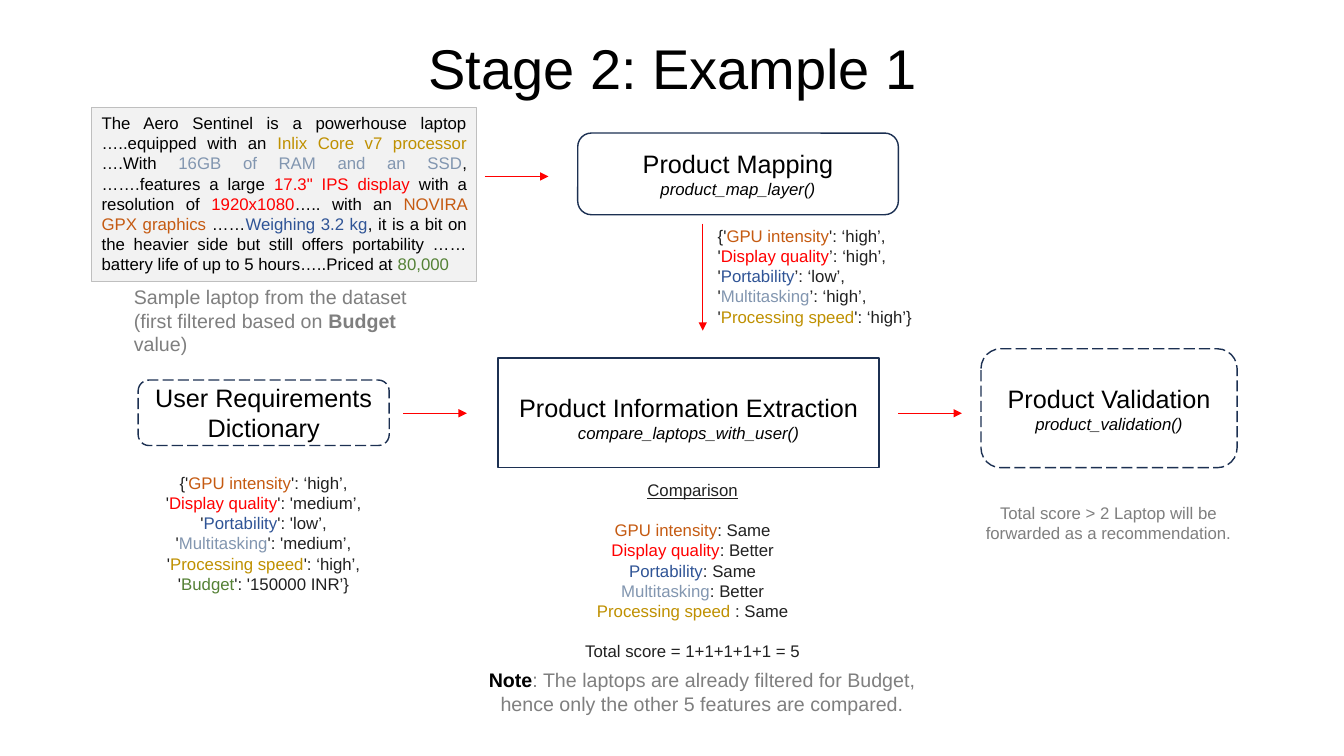
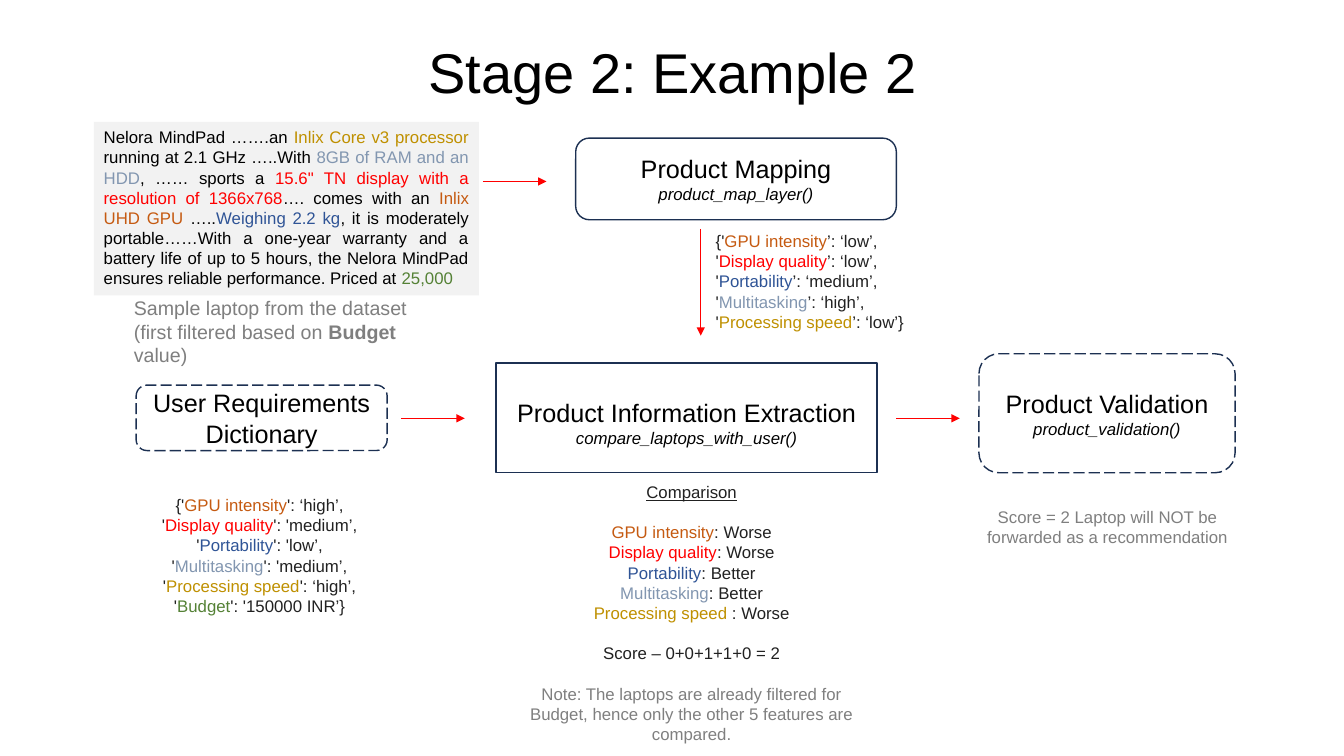
from collections import namedtuple

from lxml.etree import SubElement
from pptx import Presentation
from pptx.dml.color import RGBColor
from pptx.enum.dml import MSO_LINE_DASH_STYLE as Dash
from pptx.enum.shapes import MSO_CONNECTOR as Connector, MSO_SHAPE as Shape
from pptx.enum.text import MSO_ANCHOR as Anchor, MSO_AUTO_SIZE as AutoSize, PP_ALIGN as Align
from pptx.oxml.ns import qn
from pptx.util import Pt

PX = 9144  # 100 px to the inch
FONT = "Arial"

BLACK = RGBColor(0x00, 0x00, 0x00)
INK = RGBColor(0x21, 0x21, 0x21)
GRAY = RGBColor(0x7F, 0x7F, 0x7F)
NAVY = RGBColor(0x1C, 0x30, 0x52)
PANEL = RGBColor(0xF2, 0xF2, 0xF2)
PANEL_EDGE = RGBColor(0xBF, 0xBF, 0xBF)
RED = RGBColor(0xFF, 0x00, 0x00)
ORANGE = RGBColor(0xC5, 0x5A, 0x11)
BLUE = RGBColor(0x2F, 0x54, 0x96)
STEEL = RGBColor(0x82, 0x96, 0xB0)
GOLD = RGBColor(0xBF, 0x90, 0x00)
GREEN = RGBColor(0x54, 0x81, 0x35)

FEATURES = [
    ("GPU intensity", ORANGE),
    ("Display quality", RED),
    ("Portability", BLUE),
    ("Multitasking", STEEL),
    ("Processing speed", GOLD),
    ("Budget", GREEN),
]
REQUIREMENTS = ["': ‘high’,", "': 'medium’,", "': 'low’,",
                "': 'medium’,", "': ‘high’,", "': '150000 INR’}"]
BUDGET_NOTE = (": The laptops are already filtered for Budget, "
               "hence only the other 5 features are compared.")

# A run takes the text's own colour and size where none is given
Run = namedtuple("Run", "text color size bold italic underline",
                 defaults=(None, None, False, False, False))

EXAMPLES = [
    {
        "title": "Stage 2: Example 1",
        "title_top": -2,
        "shift": (0, 0),
        "description_at": (91, 107),
        "description_edge": PANEL_EDGE,
        "description": [
            Run("The Aero Sentinel is a powerhouse laptop …..equipped with an "),
            Run("Inlix Core v7 processor ", GOLD),
            Run("….With "),
            Run("16GB of RAM and an SSD", STEEL),
            Run(", …….features a large "),
            Run('17.3" IPS display ', RED),
            Run("with a resolution of "),
            Run("1920x1080", RED),
            Run("….. with an "),
            Run("NOVIRA GPX graphics ", ORANGE),
            Run("……"),
            Run("Weighing 3.2 kg", BLUE),
            Run(", it is a bit on the heavier side but still offers portability "
                "……battery life of up to 5 hours…..Priced at "),
            Run("80,000", GREEN),
        ],
        "caption_top": 278,
        "mapping": ["': ‘high’,", "’: ‘high’,", "’: ‘low’,", "’: ‘high’,", "': ‘high’}"],
        "requirements_at": (103, 464),
        "comparison_at": (498, 471),
        "comparison": [": Same", ": Better", ": Same", ": Better", " : Same"],
        "score": "Total score = 1+1+1+1+1 = 5",
        "note_in_comparison": False,
        "verdict_at": (957, 494),
        "verdict": "Total score > 2 Laptop will be forwarded as a recommendation.",
    },
    {
        "title": "Stage 2: Example 2",
        "title_top": 2,
        "shift": (-2, 5),
        "description_at": (93, 121),
        "description_edge": None,
        "description": [
            Run("Nelora MindPad …….an "),
            Run("Inlix Core v3 processor ", GOLD),
            Run("running at 2.1 GHz …..With "),
            Run("8GB of RAM and an HDD", STEEL),
            Run(", …… sports a "),
            Run('15.6" TN display with a resolution of 1366x768', RED),
            Run("…. comes with an "),
            Run("Inlix UHD GPU ", ORANGE),
            Run("….."),
            Run("Weighing 2.2 kg", BLUE),
            Run(", it is moderately portable……With a one-year warranty and a battery "
                "life of up to 5 hours, the Nelora MindPad ensures reliable "
                "performance. Priced at "),
            Run("25,000", GREEN),
        ],
        "caption_top": 289,
        "mapping": ["’: ‘low’,", "’: ‘low’,", "’: ‘medium’,", "’: ‘high’,", "’: ‘low’}"],
        "requirements_at": (99, 486),
        "comparison_at": (497, 473),
        "comparison": [": Worse", ": Worse", ": Better", ": Better", " : Worse"],
        "score": "Score – 0+0+1+1+0 = 2",
        "note_in_comparison": True,
        "verdict_at": (956, 498),
        "verdict": "Score = 2 Laptop will NOT be forwarded as a recommendation",
    },
]


def px(*lengths):
    return [length * PX for length in lengths]


def write(frame, paragraphs, size=12, color=BLACK, align=Align.CENTER,
          anchor=Anchor.TOP, line_spacing=None, gaps=()):
    """Fill a frame with paragraphs of runs; gaps lists those set one line lower."""
    frame.word_wrap = True
    frame.vertical_anchor = anchor
    for index, runs in enumerate(paragraphs):
        paragraph = frame.paragraphs[0] if index == 0 else frame.add_paragraph()
        paragraph.alignment = align
        if line_spacing:
            paragraph.line_spacing = line_spacing
        if index in gaps:
            paragraph.space_before = Pt(size * 1.2)
        for part in runs:
            run = paragraph.add_run()
            run.text = part.text
            font = run.font
            font.name = FONT
            font.size = Pt(part.size or size)
            font.color.rgb = part.color or color
            font.bold, font.italic, font.underline = part.bold, part.italic, part.underline


def add_text(slide, left, top, width, height, paragraphs, **text_format):
    frame = slide.shapes.add_textbox(*px(left, top, width, height)).text_frame
    write(frame, paragraphs, **text_format)
    frame.auto_size = AutoSize.NONE


def add_box(slide, preset, left, top, width, height, fill=None, edge=None,
            edge_width=1, dash=None):
    box = slide.shapes.add_shape(preset, *px(left, top, width, height))
    box.shadow.inherit = False
    if fill is None:
        box.fill.background()
    else:
        box.fill.solid()
        box.fill.fore_color.rgb = fill
    if edge is None:
        box.line.fill.background()
    else:
        box.line.color.rgb = edge
        box.line.width = Pt(edge_width)
        box.line.dash_style = dash
    return box.text_frame


def add_step(slide, preset, left, top, width, height, name, call=None,
             dash=None, top_inset=5):
    frame = add_box(slide, preset, left, top, width, height, edge=NAVY, dash=dash)
    frame.margin_top = top_inset * PX
    lines = [[Run(name)]]
    if call:
        lines.append([Run(call, size=12, italic=True)])
    write(frame, lines, size=18, anchor=Anchor.MIDDLE)


def add_arrow(slide, left, top, right, bottom):
    arrow = slide.shapes.add_connector(Connector.STRAIGHT, *px(left, top, right, bottom))
    arrow.line.color.rgb = RED
    arrow.line.width = Pt(0.75)
    SubElement(arrow.line._get_or_add_ln(), qn("a:tailEnd"), type="triangle")
    SubElement(arrow._element.spPr, qn("a:effectLst"))


def feature_lines(values, first="", others=""):
    """One line per feature: opening mark, coloured name, value."""
    return [[Run(others if index else first), Run(name, color), Run(value)]
            if first else [Run(name, color), Run(value)]
            for index, ((name, color), value) in enumerate(zip(FEATURES, values))]


def add_flow(slide, shift):
    """The four steps and their arrows, moved together by shift."""
    dx, dy = shift
    steps = [
        (Shape.RECTANGLE, 494, 355, 378, 109, "Product Information Extraction",
         "compare_laptops_with_user()", None, 15),
        (Shape.ROUNDED_RECTANGLE, 573, 132, 318, 81, "Product Mapping",
         "product_map_layer()", None, 5),
        (Shape.ROUNDED_RECTANGLE, 137, 377, 249, 65, "User Requirements Dictionary",
         None, Dash.LONG_DASH, 5),
        (Shape.ROUNDED_RECTANGLE, 973, 346, 254, 118, "Product Validation",
         "product_validation()", Dash.LONG_DASH, 5),
    ]
    for preset, left, top, *rest in steps:
        add_step(slide, preset, left + dx, top + dy, *rest)
    for left, top, right, bottom in [(481, 175, 544, 175), (697, 222, 697, 328),
                                     (400, 410, 463, 410), (891, 410, 954, 410)]:
        add_arrow(slide, left + dx, top + dy, right + dx, bottom + dy)


def add_comparison(slide, example):
    lines = [[Run("Comparison", underline=True)],
             *feature_lines(example["comparison"]),
             [Run(example["score"])]]
    gaps = [1, len(lines) - 1]
    height = 192
    if example["note_in_comparison"]:
        gaps.append(len(lines))
        lines.append([Run("Note" + BUDGET_NOTE, GRAY)])
        height = 273
    else:
        add_text(slide, 460, 658, 473, 57,
                 [[Run("Note", BLACK, bold=True), Run(BUDGET_NOTE)]], size=14, color=GRAY)
    add_text(slide, *example["comparison_at"], 378, height, lines, color=INK, gaps=gaps)


def add_example(slide, example):
    # Title
    add_text(slide, 41, example["title_top"], 1252, 145, [[Run(example["title"])]],
             size=40, anchor=Anchor.MIDDLE, line_spacing=0.9)

    # Steps and arrows
    dx, dy = example["shift"]
    add_flow(slide, example["shift"])

    # Laptop description and its caption
    description = add_box(slide, Shape.RECTANGLE, *example["description_at"], 382, 172,
                          fill=PANEL, edge=example["description_edge"], edge_width=0.75)
    write(description, [example["description"]], align=Align.JUSTIFY)
    add_text(slide, 123, example["caption_top"], 317, 81,
             [[Run("Sample laptop from the dataset (first filtered based on "),
               Run("Budget ", bold=True), Run("value)")]],
             size=14, color=GRAY, align=Align.LEFT)

    # Dictionaries
    add_text(slide, 702 + dx, 219 + dy, 334, 111,
             feature_lines(example["mapping"], "{'", "'"), color=INK, align=Align.LEFT)
    add_text(slide, *example["requirements_at"], 317, 131,
             feature_lines(REQUIREMENTS, "{'", "'"), color=INK)

    # Comparison and verdict
    add_comparison(slide, example)
    add_text(slide, *example["verdict_at"], 285, 50, [[Run(example["verdict"])]], color=GRAY)


def main():
    deck = Presentation()
    deck.slide_width, deck.slide_height = px(1333, 750)
    blank = deck.slide_layouts[6]
    for example in EXAMPLES:
        add_example(deck.slides.add_slide(blank), example)
    deck.save("out.pptx")


if __name__ == "__main__":
    main()
